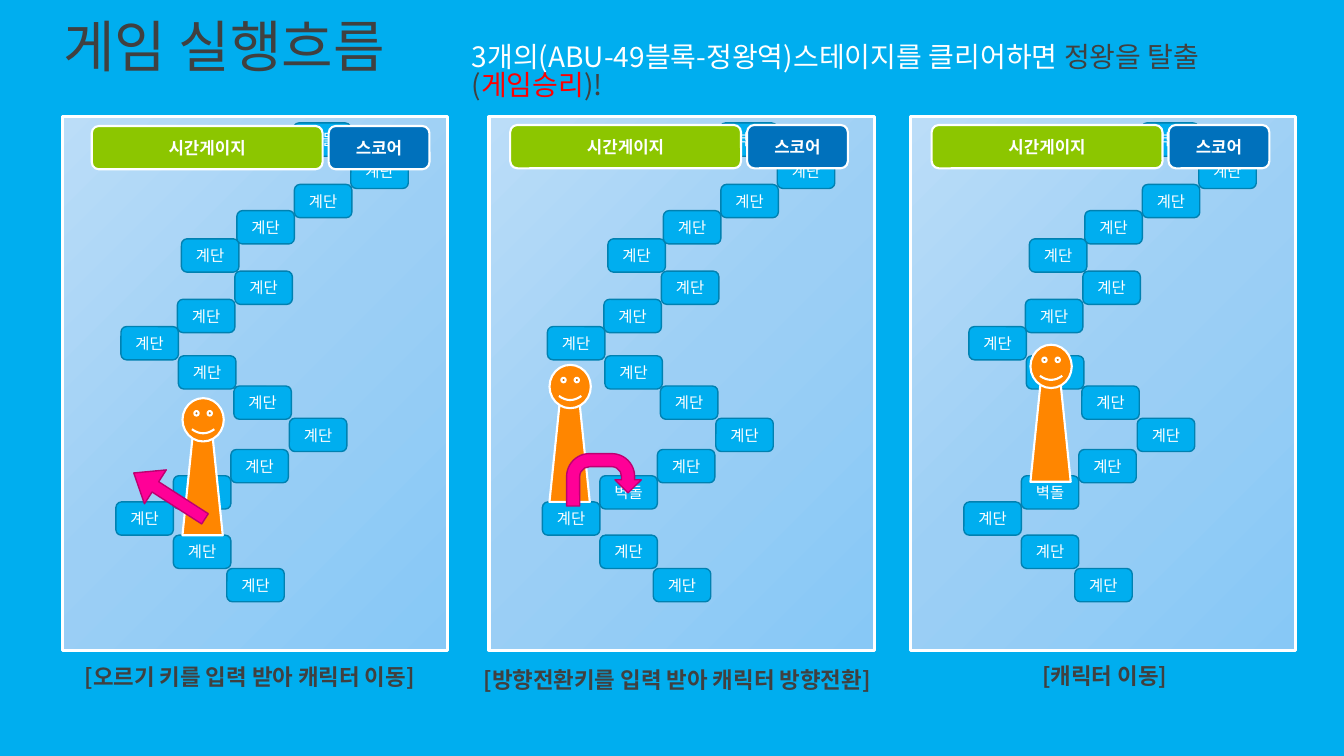
import copy

import pptx
import pptx.dml.color
import pptx.enum.shapes
import pptx.enum.text
import pptx.oxml.ns
import pptx.util

Inches = pptx.util.Inches
Pt = pptx.util.Pt
RGBColor = pptx.dml.color.RGBColor
SHAPE = pptx.enum.shapes.MSO_SHAPE
ANCHOR = pptx.enum.text.MSO_ANCHOR
ALIGN = pptx.enum.text.PP_ALIGN
qn = pptx.oxml.ns.qn

FONT = "Noto Sans CJK KR"
SKY = RGBColor(0x00, 0xAE, 0xEF)
STAIR_EDGE = RGBColor(0x00, 0x81, 0xB1)
WHITE = RGBColor(0xFF, 0xFF, 0xFF)
DARK = RGBColor(0x40, 0x40, 0x40)
RED = RGBColor(0xFF, 0x00, 0x00)
GREEN = RGBColor(0x8C, 0xC6, 0x00)
BLUE = RGBColor(0x00, 0x71, 0xBC)
ORANGE = RGBColor(0xFF, 0x86, 0x00)
PINK = RGBColor(0xFF, 0x00, 0x97)
PINK_EDGE = RGBColor(0xBD, 0x00, 0x70)
SCREEN_SHADES = (
    (0, RGBColor(0xBB, 0xDD, 0xF8)),
    (0.5, RGBColor(0x9C, 0xCF, 0xF5)),
    (1, RGBColor(0x87, 0xC8, 0xF6)),
)

SCREEN_TOP, SCREEN_WIDTH, SCREEN_HEIGHT = 1.16, 3.82, 5.29
STAIR, BRICK = "계단", "벽돌"
STAIRS = (
    (1.63, 4.48, STAIR), (1.10, 4.15, STAIR), (0.53, 3.82, STAIR), (1.10, 3.56, BRICK),
    (1.67, 3.30, STAIR), (1.15, 2.37, STAIR), (1.70, 2.67, STAIR), (0.58, 2.08, STAIR),
    (1.14, 1.81, STAIR), (2.25, 2.99, STAIR), (1.71, 1.53, STAIR), (1.18, 1.21, STAIR),
    (1.73, 0.93, STAIR), (2.30, 0.67, STAIR), (2.86, 0.38, STAIR), (2.29, 0.06, BRICK),
)
SCREENS = (
    (0.62, (0.29, 0.09), (1.19, 2.79)),
    (4.85, (0.21, 0.08), (0.60, 2.46)),
    (9.03, (0.21, 0.08), (1.19, 2.26)),
)
CAPTIONS = (
    ("[오르기 키를 입력 받아 캐릭터 이동]", (0.74, 6.57, 3.62, 0.37)),
    ("[방향전환키를 입력 받아 캐릭터 방향전환]", (4.70, 6.60, 4.19, 0.37)),
    ("[캐릭터 이동]", (10.24, 6.56, 1.48, 0.37)),
)
GOAL = (
    ("3개의(ABU-49블록-정왕역)스테이지를 클리어하면 ", WHITE),
    ("정왕을 탈출(", DARK),
    ("게임승리", RED),
    (")!", DARK),
)


def add_run(paragraph, words, size, color, bold=False):
    """Append one run with its Latin and East Asian font."""
    run = paragraph.add_run()
    run.text = words
    run.font.size = Pt(size)
    run.font.bold = bold
    run.font.color.rgb = color
    run.font.name = FONT
    east_asian = run.font._element.makeelement(qn("a:ea"), {"typeface": FONT})
    run.font._element.find(qn("a:latin")).addnext(east_asian)


def add_part(slide, kind, box, fill, edge, edge_width):
    """Add a preset shape in a box given in inches; no fill color leaves the fill open."""
    part = slide.shapes.add_shape(kind, *map(Inches, box))
    part.shadow.inherit = False
    if fill is not None:
        part.fill.solid()
        part.fill.fore_color.rgb = fill
    part.line.color.rgb = edge
    part.line.width = Pt(edge_width)
    return part


def add_label(part, words, size, bold=False):
    """Write centred white words on a shape."""
    part.text_frame.vertical_anchor = ANCHOR.MIDDLE
    paragraph = part.text_frame.paragraphs[0]
    paragraph.alignment = ALIGN.CENTER
    add_run(paragraph, words, size, WHITE, bold)


def write_lines(frame, runs, size, bold=False):
    """Write coloured runs as a left-aligned, wrapping paragraph."""
    frame.word_wrap = True
    frame.auto_size = pptx.enum.text.MSO_AUTO_SIZE.NONE
    frame.vertical_anchor = ANCHOR.TOP
    paragraph = frame.paragraphs[0]
    paragraph.alignment = ALIGN.LEFT
    paragraph.line_spacing = 0.83
    for words, color in runs:
        add_run(paragraph, words, size, color, bold)


def add_note(slide, box, runs, size, bold=False):
    """Add a text box of coloured runs."""
    note = slide.shapes.add_textbox(*map(Inches, box))
    write_lines(note.text_frame, runs, size, bold)


def add_title(slide, box):
    """Place and write the slide title."""
    title = slide.shapes.title
    title.left, title.top, title.width, title.height = map(Inches, box)
    write_lines(title.text_frame, (("게임 실행흐름", DARK),), 40)


def add_backdrop(slide, box):
    """Add the shaded screen background."""
    backdrop = add_part(slide, SHAPE.RECTANGLE, box, None, WHITE, 2.25)
    backdrop.fill.gradient()
    backdrop.fill.gradient_angle = 315
    stops = backdrop._element.spPr.find(".//" + qn("a:gsLst"))
    stops.insert(1, copy.deepcopy(stops[0]))
    for stop, (position, color) in zip(backdrop.fill.gradient_stops, SCREEN_SHADES):
        stop.position = position
        stop.color.rgb = color


def add_character(slide, left, top):
    """Add the player piece with its head at the given corner."""
    add_part(slide, SHAPE.TRAPEZOID, (left, top + 0.39, 0.4, 0.97), ORANGE, WHITE, 1.5)
    add_part(slide, SHAPE.SMILEY_FACE, (left, top, 0.41, 0.43), ORANGE, WHITE, 1.5)


def add_status_bar(slide, left, top):
    """Add the time gauge and the score."""
    for words, offset, width, color in (
        ("시간게이지", 0, 2.29, GREEN),
        ("스코어", 2.35, 1, BLUE),
    ):
        box = (left + offset, top, width, 0.43)
        add_label(add_part(slide, SHAPE.ROUNDED_RECTANGLE, box, color, WHITE, 1.5), words, 12, True)


def add_screen(slide, box, status, character):
    """Add one game screen, its parts placed relative to the box."""
    left, top = box[:2]
    add_backdrop(slide, box)
    for x, y, words in STAIRS:
        step_box = (left + x, top + y, 0.57, 0.33)
        step = add_part(slide, SHAPE.ROUNDED_RECTANGLE, step_box, SKY, STAIR_EDGE, 1)
        add_label(step, words, 11)
    add_character(slide, left + character[0], top + character[1])
    add_status_bar(slide, left + status[0], top + status[1])


def add_moves(slide):
    """Add the climbing arrow and the turning arrow."""
    climb = add_part(slide, SHAPE.LEFT_ARROW, (1.26, 4.72, 0.84, 0.4), PINK, PINK_EDGE, 1)
    climb.rotation = 32.8
    climb.adjustments[0] = 0.303
    climb.adjustments[1] = 0.637
    add_part(slide, SHAPE.U_TURN_ARROW, (5.62, 4.5, 0.74, 0.52), PINK, PINK_EDGE, 1)


def main():
    """Build and save the game flow slide."""
    deck = pptx.Presentation()
    deck.slide_width, deck.slide_height = Inches(13.33), Inches(7.5)
    slide = deck.slides.add_slide(deck.slide_layouts[5])
    slide.background.fill.solid()
    slide.background.fill.fore_color.rgb = SKY
    add_title(slide, (0.53, 0.18, 3.61, 0.77))
    add_note(slide, (4.58, 0.4, 8.39, 0.44), GOAL, 20)
    for left, status, character in SCREENS:
        add_screen(slide, (left, SCREEN_TOP, SCREEN_WIDTH, SCREEN_HEIGHT), status, character)
    add_moves(slide)
    for words, box in CAPTIONS:
        add_note(slide, box, ((words, DARK),), 16, True)
    deck.save("out.pptx")


if __name__ == "__main__":
    main()
